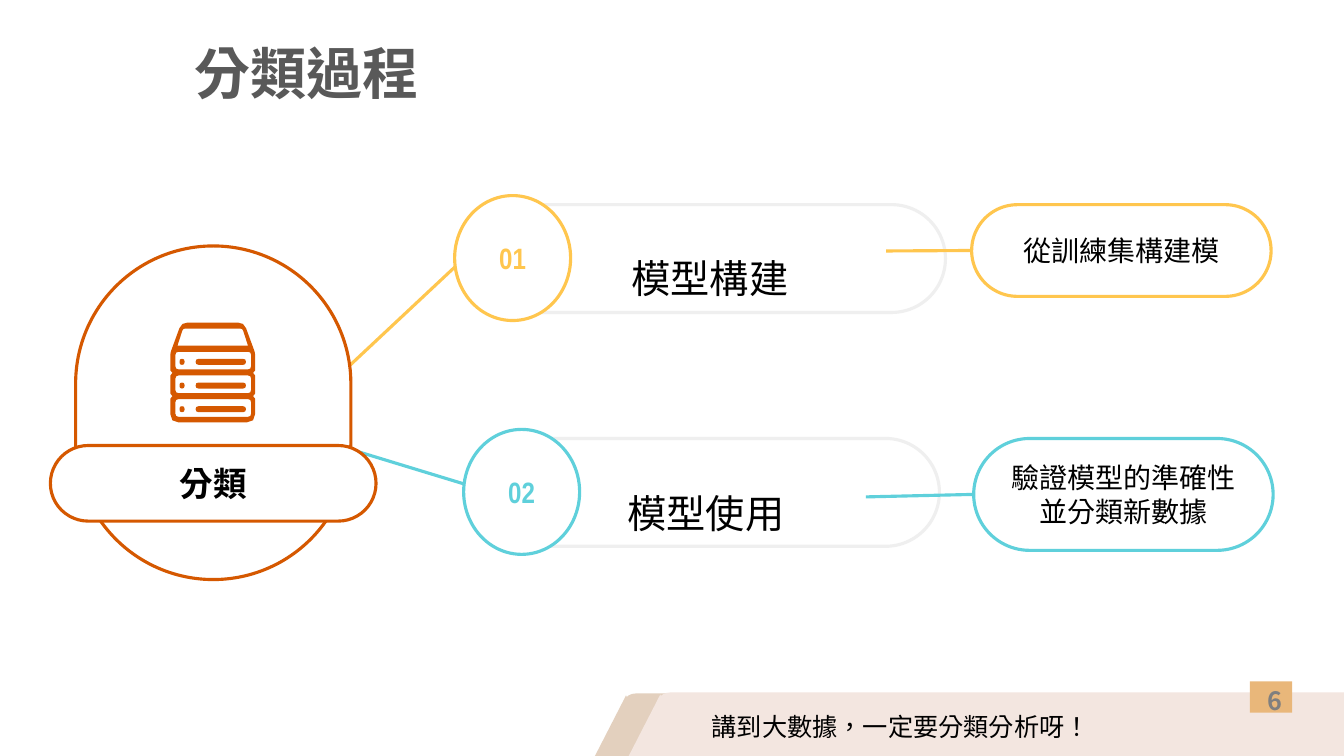
"""Build a slide on the two stages of a classification process."""
from dataclasses import dataclass
from typing import NamedTuple

from lxml import etree
from pptx import Presentation
from pptx.dml.color import RGBColor
from pptx.enum.shapes import MSO_CONNECTOR, MSO_SHAPE
from pptx.enum.text import MSO_ANCHOR, PP_ALIGN
from pptx.oxml.ns import qn
from pptx.shapes.autoshape import Shape
from pptx.shapes.connector import Connector
from pptx.slide import Slide
from pptx.util import Inches, Pt

WIDTH, HEIGHT = Inches(13.33), Inches(7.5)
LEFT_SIDE = 1
STRAIGHT = MSO_CONNECTOR.STRAIGHT
RECT, PILL, OVAL = MSO_SHAPE.RECTANGLE, MSO_SHAPE.ROUNDED_RECTANGLE, MSO_SHAPE.OVAL
BAND, TRIANGLE = MSO_SHAPE.ROUND_2_DIAG_RECTANGLE, MSO_SHAPE.ISOSCELES_TRIANGLE
LEFT, CENTER = PP_ALIGN.LEFT, PP_ALIGN.CENTER
TOP, MIDDLE = MSO_ANCHOR.TOP, MSO_ANCHOR.MIDDLE
Corner = tuple[float, float, float]
Contour = list[tuple[int, int]]


@dataclass(frozen=True)
class Theme:
    """Colours, fonts and type sizes of the slide."""
    paper: str = "FFFFFF"
    ink: str = "000000"
    heading: str = "595959"
    page: str = "7F7F7F"
    track: str = "EFEFEF"
    orange: str = "D55800"
    yellow: str = "FFC64E"
    teal: str = "5FD0DB"
    sand: str = "E3D0BE"
    blush: str = "F3E6E0"
    badge: str = "E9B77A"
    chinese: str = "Noto Sans CJK TC"
    narrow: str = "Arial Narrow"
    language: str = "zh-TW"
    title_size: int = 40
    label_size: int = 28
    subject_size: int = 24
    number_size: int = 21
    detail_size: int = 20
    footer_size: int = 18
    line: float = 2.25


THEME = Theme()


class Spot(NamedTuple):
    """A point in percent of the slide's width and height."""
    x: float
    y: float

    def emu(self) -> tuple[int, int]:
        """Return the point in slide units."""
        return round(WIDTH * self.x / 100), round(HEIGHT * self.y / 100)


class Box(NamedTuple):
    """A frame in percent of the slide's width and height."""
    x: float
    y: float
    w: float
    h: float

    def emu(self) -> tuple[int, int, int, int]:
        """Return the frame in slide units."""
        return *Spot(self.x, self.y).emu(), *Spot(self.w, self.h).emu()


class Insets(NamedTuple):
    """Text margins in percent of the slide's width and height."""
    left: float = 0.75
    right: float = 0.75
    vertical: float = 1.33


@dataclass(frozen=True)
class Style:
    """How a text is set in its frame."""
    size: int
    color: str = THEME.ink
    font: str = THEME.chinese
    bold: bool = False
    align: PP_ALIGN = LEFT
    anchor: MSO_ANCHOR = MIDDLE
    spacing: float = 1.0
    insets: Insets = Insets()


@dataclass(frozen=True)
class Stage:
    """One stage of the process with its number, label and detail."""
    number: str
    label: str
    detail: str
    color: str
    track: Box
    label_box: Box
    link_start: Spot
    link_end: Spot
    circle: Box
    pill: Box
    lead_start: Spot


FOOTER_INSETS = Insets(vertical=0.67)
TITLE = Style(THEME.title_size, THEME.heading, bold=True, spacing=0.9, insets=FOOTER_INSETS)
LABEL = Style(THEME.label_size, spacing=1.5, insets=Insets(4.5, 1.5))
SUBJECT = Style(THEME.subject_size, font=THEME.narrow, bold=True, align=CENTER)
DETAIL = Style(THEME.detail_size, font=THEME.narrow, align=CENTER)
SLOGAN = Style(THEME.footer_size, anchor=TOP, insets=FOOTER_INSETS)
PAGE = Style(THEME.footer_size, THEME.page, bold=True, align=CENTER, anchor=TOP, insets=FOOTER_INSETS)

STAGES = (
    Stage("01", "模型構建", "從訓練集構建模", THEME.yellow,
          Box(34.95, 27.07, 35.4, 14.27), Box(42.5, 30.27, 24.98, 9.87),
          Spot(18.38, 61.07), Spot(34.88, 33.6), Box(33.83, 25.87, 8.63, 16.53),
          Box(72.3, 27.07, 22.28, 12.13), Spot(65.93, 33.2)),
    Stage("02", "模型使用", "驗證模型的準確性並分類新數據", THEME.teal,
          Box(35.55, 58, 34.35, 14.27), Box(42.2, 61.33, 24.23, 9.87),
          Spot(18.98, 55.6), Spot(34.5, 64), Box(34.5, 56.8, 8.63, 16.53),
          Box(72.45, 58, 22.28, 14.8), Spot(64.43, 65.73)),
)
FOOTER = (
    (BAND, Box(46.28, 91.73, 54.23, 9.87), THEME.sand),
    (TRIANGLE, Box(43.73, 92, 5.7, 9.87), THEME.sand),
    (BAND, Box(48.83, 91.6, 53.4, 9.87), THEME.blush),
    (TRIANGLE, Box(46.28, 91.87, 5.7, 9.87), THEME.blush),
    (RECT, Box(93, 90.13, 3.15, 4.13), THEME.badge),
)
ADJUST = {BAND: 0.183, PILL: 0.5}
ICON_ORIGIN = Spot(12.68, 42.67)
ICON_COLUMNS, ICON_UNIT = 84, WIDTH * 0.00075
TRAY_TOPS = [29 + 23.5 * tray for tray in range(3)]


def write(holder: Shape, text: str, style: Style) -> None:
    """Set a text in a shape or text box."""
    frame = holder.text_frame
    frame.word_wrap = True
    frame.vertical_anchor = style.anchor
    frame.margin_left, frame.margin_top = Spot(style.insets.left, style.insets.vertical).emu()
    frame.margin_right, frame.margin_bottom = Spot(style.insets.right, style.insets.vertical).emu()
    paragraph = frame.paragraphs[0]
    paragraph.text = text
    paragraph.alignment, paragraph.line_spacing = style.align, style.spacing
    font = paragraph.font
    font.name, font.size, font.bold = style.font, Pt(style.size), style.bold
    font.color.rgb = RGBColor.from_string(style.color)
    defaults = paragraph._p.pPr.find(qn("a:defRPr"))
    defaults.set("lang", THEME.language)
    etree.SubElement(defaults, qn("a:ea"), typeface=THEME.chinese)


def add_text(slide: Slide, box: Box, text: str, style: Style) -> None:
    """Add a text box."""
    write(slide.shapes.add_textbox(*box.emu()), text, style)


def paint(shape: Shape, fill: str, line: str | None = None) -> None:
    """Give a shape its fill and outline and no shadow."""
    shape.shadow.inherit = False
    shape.fill.solid()
    shape.fill.fore_color.rgb = RGBColor.from_string(fill)
    if line is None:
        shape.line.fill.background()
    else:
        shape.line.color.rgb = RGBColor.from_string(line)
        shape.line.width = Pt(THEME.line)


def add_form(slide: Slide, kind: MSO_SHAPE, box: Box, fill: str, line: str | None = None) -> Shape:
    """Add a preset shape."""
    form = slide.shapes.add_shape(kind, *box.emu())
    if kind in ADJUST:
        form.adjustments[0] = ADJUST[kind]
    paint(form, fill, line)
    return form


def add_link(slide: Slide, start: Spot, end: Spot, color: str) -> Connector:
    """Add a straight line between two points."""
    link = slide.shapes.add_connector(STRAIGHT, *start.emu(), *end.emu())
    link.line.color.rgb = RGBColor.from_string(color)
    link.line.width = Pt(THEME.line)
    etree.SubElement(link._element.spPr, qn("a:effectLst"))
    return link


def rounded(corners: list[Corner]) -> Contour:
    """Trace icon corners (x, y, radius) as a contour with softened bends."""
    left, top = ICON_ORIGIN.emu()
    points = []
    for i, (x, y, radius) in enumerate(corners):
        bend = [(x, y)]
        if radius:
            (ax, ay), (bx, by) = (
                (x + (nx - x) * radius / ((nx - x) ** 2 + (ny - y) ** 2) ** 0.5,
                 y + (ny - y) * radius / ((nx - x) ** 2 + (ny - y) ** 2) ** 0.5)
                for nx, ny, _ in (corners[i - 1], corners[(i + 1) % len(corners)]))
            bend = [(ax, ay), ((ax + bx + 2 * x) / 4, (ay + by + 2 * y) / 4), (bx, by)]
        points += bend
    return [(round(left + x * ICON_UNIT), round(top + y * ICON_UNIT)) for x, y in points]


def slot(x: float, y: float, w: float, h: float, radius: float) -> Contour:
    """Trace a rounded rectangle on the icon's grid."""
    return rounded([(x, y, radius), (x + w, y, radius), (x + w, y + h, radius), (x, y + h, radius)])


def add_outline(slide: Slide, contours: list[Contour]) -> None:
    """Add one filled outline, with inner contours as holes."""
    builder = slide.shapes.build_freeform(*contours[0][0])
    builder.add_line_segments(contours[0][1:])
    for contour in contours[1:]:
        builder.move_to(*contour[0])
        builder.add_line_segments(contour[1:])
    paint(builder.convert_to_shape(), THEME.orange)


def add_server(slide: Slide) -> None:
    """Draw the server icon with three trays."""
    right = [(73, 0, 6), (84, 30, 2), (84, 50, 0), (82, 50, 0), (84, 52.5, 0),
             (82, 73, 0), (84, 75.5, 0), (84, 99, 8)]
    right[2:6] = [(84, 47.5, 0), (82, 50, 0), (84, 52.5, 0), (84, 70.5, 0), (82, 73, 0)]
    left = [(ICON_COLUMNS - x, y, radius) for x, y, radius in reversed(right)]
    lid = [(12.5, 6, 2), (71.5, 6, 2), (77, 23, 0), (7, 23, 0)]
    trays = [slot(5, top, 75, 17.5, 3) for top in TRAY_TOPS]
    add_outline(slide, [rounded(right + left), rounded(lid), *trays])
    for top in TRAY_TOPS:
        add_outline(slide, [slot(25, top + 7, 50, 6, 3)])
        add_outline(slide, [slot(9, top + 7, 5, 6, 2.5)])


def add_stage(slide: Slide, stage: Stage) -> None:
    """Draw one stage from its link to its detail."""
    add_form(slide, PILL, stage.track, THEME.paper, THEME.track)
    add_text(slide, stage.label_box, stage.label, LABEL)
    add_link(slide, stage.link_start, stage.link_end, stage.color)
    circle = add_form(slide, OVAL, stage.circle, THEME.paper, stage.color)
    write(circle, stage.number, Style(THEME.number_size, stage.color, THEME.narrow, True, CENTER,
                                      insets=Insets(0, 0)))
    pill = add_form(slide, PILL, stage.pill, THEME.paper, stage.color)
    write(pill, stage.detail, DETAIL)
    pill_side = Spot(stage.pill.x, stage.pill.y + stage.pill.h / 2)
    add_link(slide, stage.lead_start, pill_side, stage.color).end_connect(pill, LEFT_SIDE)


def main() -> None:
    """Build and save the slide."""
    deck = Presentation()
    deck.slide_width, deck.slide_height = WIDTH, HEIGHT
    slide = deck.slides.add_slide(deck.slide_layouts[6])
    for kind, box, fill in FOOTER:
        add_form(slide, kind, box, fill)
    add_text(slide, Box(52.2, 93.47, 40.05, 5.33), "講到大數據，一定要分類分析呀！", SLOGAN)
    add_text(slide, Box(92.25, 90, 5.18, 5.33), "6", PAGE)
    add_text(slide, Box(13.73, 0.4, 79.35, 19.33), "分類過程", TITLE)
    for stage in STAGES:
        add_stage(slide, stage)
    add_form(slide, PILL, Box(5.63, 32.53, 20.48, 44.13), THEME.paper, THEME.orange)
    add_server(slide)
    subject = add_form(slide, PILL, Box(3.75, 58.93, 24.23, 10), THEME.paper, THEME.orange)
    write(subject, "分類", SUBJECT)
    deck.save("out.pptx")


if __name__ == "__main__":
    main()
